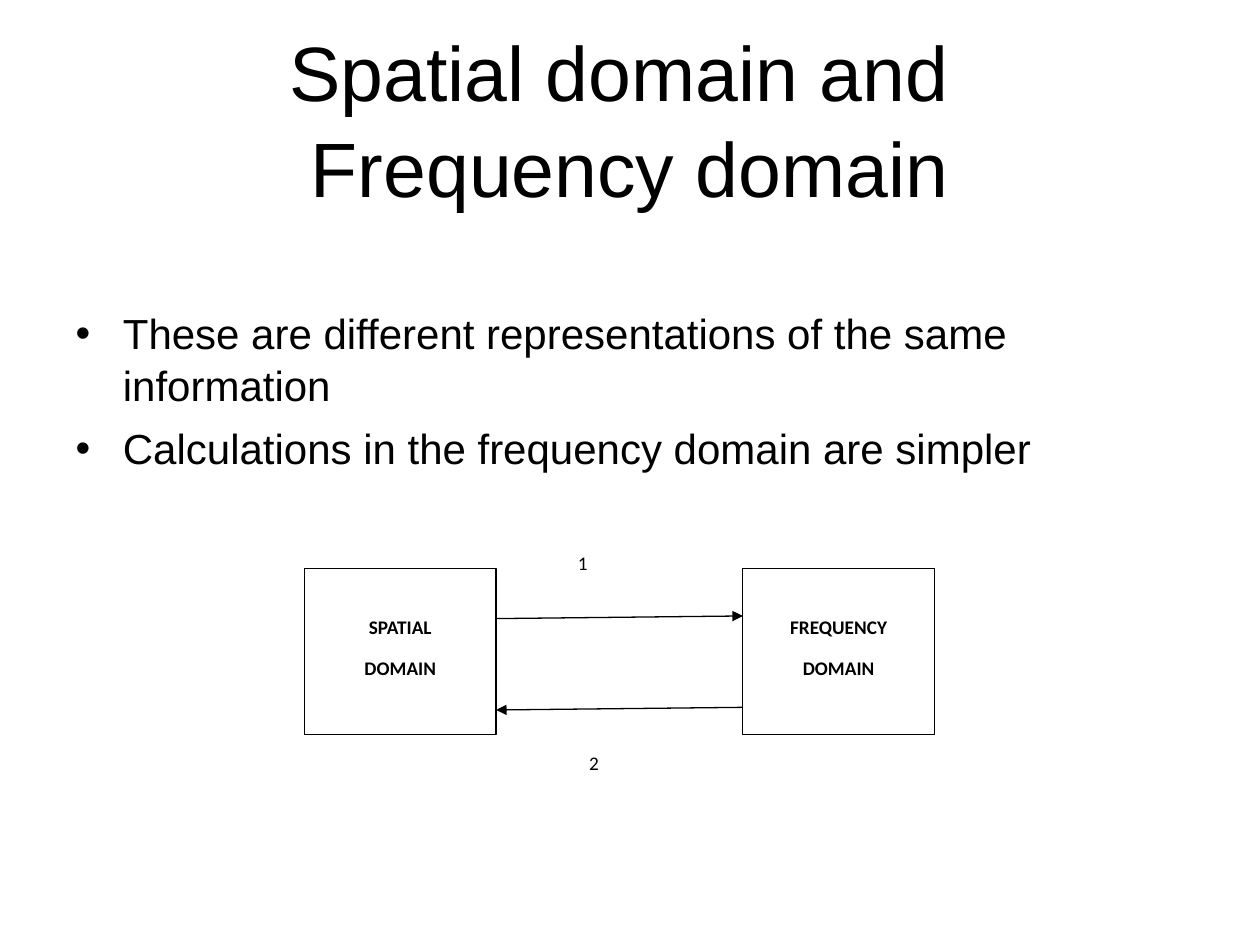
import pptx
import pptx.util
import pptx.oxml
import pptx.dml.color
import pptx.enum.shapes
import pptx.enum.text
from dataclasses import dataclass

Pt = pptx.util.Pt
Align = pptx.enum.text.PP_ALIGN
Anchor = pptx.enum.text.MSO_ANCHOR
NS = 'xmlns:a="http://schemas.openxmlformats.org/drawingml/2006/main"'


@dataclass(frozen=True)
class Theme:
    ink: str = "000000"
    paper: str = "FFFFFF"
    sans: str = "Arial"
    label: str = "Calibri"
    head: int = 44
    body: int = 24
    small: int = 11
    rule: float = 0.75


theme = Theme()


def color(code):
    return pptx.dml.color.RGBColor.from_string(code)


def write(frame, lines, font=theme.sans, size=theme.body, bold=False,
          align=Align.LEFT, anchor=Anchor.TOP, inset=(7.2, 3.6),
          before=0, after=0, lead=1.0):
    """Fill a frame with paragraphs; inset is left and top, the gaps are points."""
    frame.word_wrap = True
    frame.auto_size = pptx.enum.text.MSO_AUTO_SIZE.NONE
    frame.vertical_anchor = anchor
    frame.margin_left, frame.margin_top = Pt(inset[0]), Pt(inset[1])
    frame.margin_right, frame.margin_bottom = Pt(7.2), Pt(3.6)
    for i, line in enumerate(lines):
        para = frame.add_paragraph() if i else frame.paragraphs[0]
        para.text = line
        para.alignment = align
        para.line_spacing = lead
        para.space_before = Pt(before if i else 0)
        para.space_after = Pt(after)
        for run in para.runs:
            run.font.name, run.font.size = font, Pt(size)
            run.font.bold = bold
            run.font.color.rgb = color(theme.ink)


def place(shape, box):
    shape.left, shape.top, shape.width, shape.height = map(Pt, box)


def panel(group, box, lines, edge=False, **form):
    """White rectangle with text, outlined when edge is set."""
    kind = pptx.enum.shapes.MSO_SHAPE.RECTANGLE
    shape = group.shapes.add_shape(kind, *map(Pt, box))
    shape.shadow.inherit = False
    shape.fill.solid()
    shape.fill.fore_color.rgb = color(theme.paper)
    if edge:
        shape.line.color.rgb = color(theme.ink)
        shape.line.width = Pt(theme.rule)
    else:
        shape.line.fill.background()
    write(shape.text_frame, lines, font=theme.label, size=theme.small,
          after=10, **form)


def arrow(group, start, end):
    kind = pptx.enum.shapes.MSO_CONNECTOR.STRAIGHT
    line = group.shapes.add_connector(kind, *map(Pt, start + end))
    line.line.color.rgb = color(theme.ink)
    line.line.width = Pt(theme.rule)
    line.line._get_or_add_ln().append(
        pptx.oxml.parse_xml(f'<a:tailEnd {NS} type="triangle"/>'))
    line._element.spPr.append(pptx.oxml.parse_xml(f'<a:effectLst {NS}/>'))


def title(slide, box):
    shape = slide.shapes.title
    place(shape, box)
    write(shape.text_frame, ["Spatial domain and \vFrequency domain"],
          size=theme.head, align=Align.CENTER, anchor=Anchor.MIDDLE, lead=1.04)


def points(slide, box):
    shape = slide.placeholders[1]
    place(shape, box)
    write(shape.text_frame,
          ["These are different representations of the same information",
           "Calculations in the frequency domain are simpler"],
          before=6, lead=1.04)


def diagram(slide, box):
    left, top, width, height = box
    group = slide.shapes.add_group_shape()
    side = 109.5
    near, far = left + side, left + width - side

    # Two domains
    for x, name in ((left, "SPATIAL"), (far, "FREQUENCY")):
        panel(group, (x, top, side, height), [name, "DOMAIN"], edge=True,
              bold=True, align=Align.CENTER, inset=(7.2, 27))

    # Transforms there and back
    arrow(group, (near, top + 28.8), (far, top + 27.3))
    arrow(group, (far, top + 79.5), (near, top + 81))

    # Step numbers
    for x, y, tall, mark in ((144, -13, 30, "1"), (150.5, 101, 60, "2")):
        panel(group, (left + x, top + y, 40, tall), [mark], inset=(12.2, 3.6))


def main():
    deck = pptx.Presentation()
    deck.slide_width, deck.slide_height = Pt(720), Pt(540)
    slide = deck.slides.add_slide(deck.slide_layouts[1])
    title(slide, (36, 21.6, 648, 90))
    points(slide, (36, 171, 648, 311))
    diagram(slide, (174, 324.7, 360, 95))
    deck.save("out.pptx")


if __name__ == "__main__":
    main()
